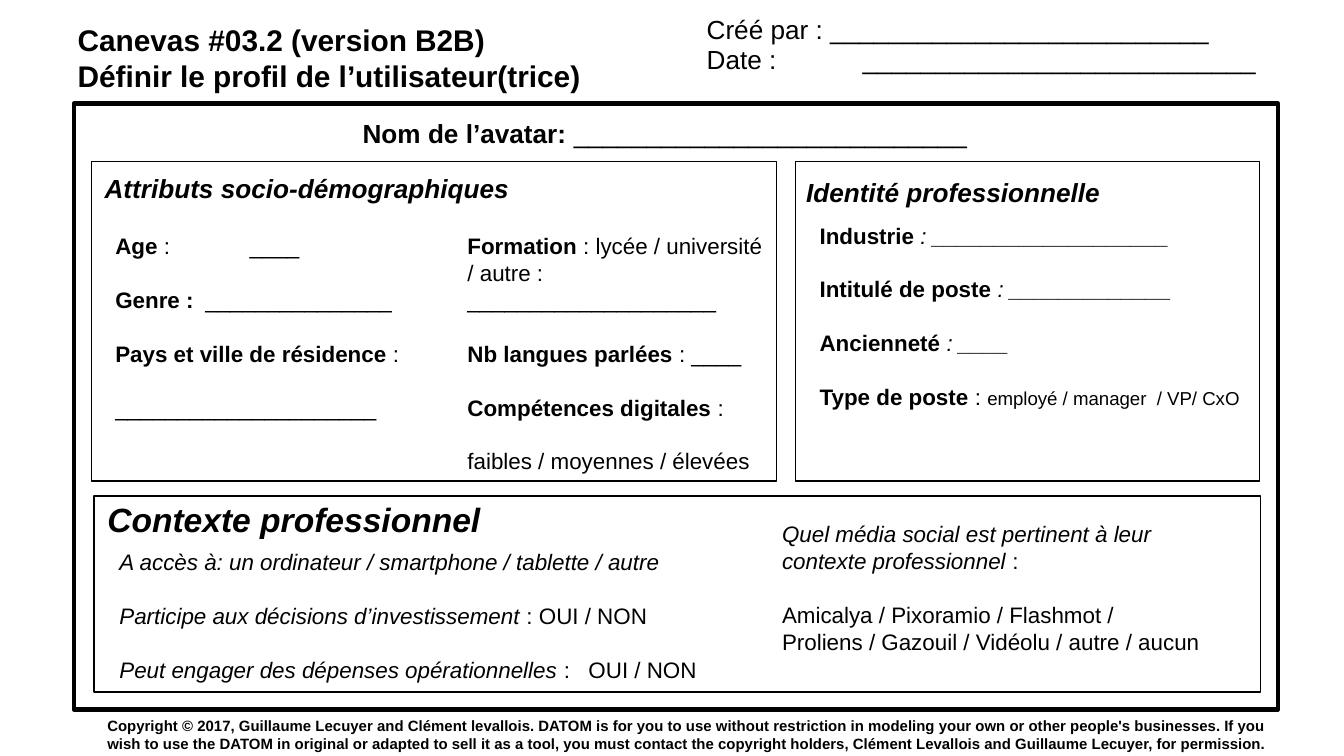
import pptx
import pptx.util
import pptx.dml.color
import pptx.enum.shapes
import pptx.enum.text
from lxml import etree
from pptx.oxml.ns import qn

Inches = pptx.util.Inches
Pt = pptx.util.Pt
COLORS = {"ink": "000000", "paper": "FFFFFF"}
FONT = "Arial"
LINE_GAP = 14.4


def rgb(name):
    return pptx.dml.color.RGBColor.from_string(COLORS[name])


def add_frame(slide, x, y, w, h, weight=0.75):
    sp = slide.shapes.add_shape(
        pptx.enum.shapes.MSO_SHAPE.RECTANGLE,
        Inches(x), Inches(y), Inches(w), Inches(h))
    sp.shadow.inherit = False
    sp.fill.background()
    sp.line.color.rgb = rgb("ink")
    sp.line.width = Pt(weight)


def add_tab(p, position):
    tabs = etree.SubElement(p._p.get_or_add_pPr(), qn("a:tabLst"))
    etree.SubElement(tabs, qn("a:tab"), pos=str(Inches(position)), algn="l")


def add_run(p, text, style="", size=12):
    r = p.add_run()
    r.text = text
    r.font.name = FONT
    r.font.size = Pt(size)
    r.font.bold = "b" in style
    r.font.italic = "i" in style
    r.font.color.rgb = rgb("ink")


def para(*runs, gap=LINE_GAP, tab=None):
    return {"runs": runs, "gap": gap, "tab": tab}


def add_text(slide, x, y, w, h, paras, size=12, middle=False):
    sp = slide.shapes.add_textbox(Inches(x), Inches(y), Inches(w), Inches(h))
    tf = sp.text_frame
    tf.word_wrap = True
    tf.margin_left = tf.margin_right = Inches(0.1)
    tf.margin_top = tf.margin_bottom = Inches(0.1)
    anchor = pptx.enum.text.MSO_ANCHOR
    tf.vertical_anchor = anchor.MIDDLE if middle else anchor.TOP
    for i, item in enumerate(paras):
        p = tf.paragraphs[0] if i == 0 else tf.add_paragraph()
        if item["tab"]:
            add_tab(p, item["tab"])
        if i and item["gap"]:
            p.space_before = Pt(item["gap"])
        for text, style, *own_size in item["runs"]:
            add_run(p, text, style, own_size[0] if own_size else size)


def add_title(slide, x, y, w, h, text, size=14, style="bi"):
    add_text(slide, x, y, w, h, [para((text, style))], size=size)


def add_header(slide):
    add_text(slide, 0.48, 0.06, 4.94, 0.5, [
        para(("Canevas #03.2 (version B2B)", "b")),
        para(("Définir le profil de l’utilisateur(trice)", "b"), gap=0),
    ], size=16)
    add_title(slide, 5.16, 0, 4.36, 0.34, "Créé par : " + "_" * 26, style="")
    add_text(slide, 5.16, 0.22, 4.44, 0.34,
             [para(("Date : \t" + "_" * 27, ""), tab=1.16)], size=14)
    add_text(slide, 2.6, 0.77, 6.36, 0.34,
             [para(("Nom de l’avatar:", "b"), (" " + "_" * 27, ""))], size=14)


def add_demographics(slide):
    add_title(slide, 0.68, 1.18, 3.28, 0.34, "Attributs socio-démographiques")
    add_text(slide, 0.76, 1.63, 2.4, 1.95, [
        para(("Age", "b"), (" : \t____", ""), tab=1),
        para(("Genre :", "b"), ("\t" + "_" * 15, ""), tab=0.67),
        para(("Pays et ville de résidence ", "b"), (":", "")),
        para(("_" * 21, "")),
    ])
    add_text(slide, 3.38, 1.63, 2.4, 1.95, [
        para(("Formation ", "b"), (": lycée / université / autre :", "")),
        para(("_" * 20, ""), gap=0),
        para(("Nb langues parlées ", "b"), (": ____", "")),
        para(("Compétences digitales ", "b"), (":", "")),
        para(("faibles / moyennes / élevées", "")),
    ])


def add_identity(slide):
    add_title(slide, 5.9, 1.21, 2.81, 0.45, "Identité professionnelle")
    blanks = [("Industrie", 19), ("Intitulé de poste", 13), ("Ancienneté", 4)]
    paras = [para((label + " ", "b"), (": " + "_" * n, "i"))
             for label, n in blanks]
    paras.append(para(("Type de poste ", "b"), (": ", ""),
                      ("employé / manager  / VP/ CxO", "", 10)))
    add_text(slide, 6, 1.55, 3.38, 1.95, paras)


def add_context(slide):
    add_title(slide, 0.7, 3.61, 4.21, 0.45, "Contexte professionnel", size=18)
    add_text(slide, 0.79, 3.98, 4.73, 1.35, [
        para(("A accès à: un ordinateur / smartphone / tablette / autre", "i")),
        para(("Participe aux décisions d’investissement ", "i"),
             (": OUI / NON", "")),
        para(("Peut engager des dépenses opérationnelles ", "i"),
             (":\tOUI / NON", ""), tab=3.49),
    ])
    add_text(slide, 5.72, 3.77, 3.38, 1.29, [
        para(("Quel média social est pertinent à leur contexte professionnel ",
              "i"), (":", "")),
        para(("Amicalya / Pixoramio / Flashmot / Proliens / Gazouil / Vidéolu"
              " / autre / aucun", "")),
    ])


def add_copyright(slide):
    text = (
        "Copyright © 2017, Guillaume Lecuyer and Clément levallois. DATOM is "
        "for you to use without restriction in modeling your own or other "
        "people's businesses. If you wish to use the DATOM in original or "
        "adapted to sell it as a tool, you must contact the copyright holders, "
        "Clément Levallois and Guillaume Lecuyer, for permission.")
    add_text(slide, 0.7, 5.35, 8.96, 0.23, [para((text, "b"))],
             size=8, middle=True)


def main():
    prs = pptx.Presentation()
    prs.slide_width = Inches(10)
    prs.slide_height = Inches(10 * 9 / 16)
    slide = prs.slides.add_slide(prs.slide_layouts[6])
    slide.background.fill.solid()
    slide.background.fill.fore_color.rgb = rgb("paper")
    add_frame(slide, 0.55, 0.77, 8.96, 4.51, weight=2.25)
    add_frame(slide, 0.68, 1.2, 5.1, 2.38)
    add_frame(slide, 5.92, 1.2, 3.45, 2.38)
    add_frame(slide, 0.7, 3.69, 8.68, 1.46)
    add_header(slide)
    add_demographics(slide)
    add_identity(slide)
    add_context(slide)
    add_copyright(slide)
    prs.save("out.pptx")


if __name__ == "__main__":
    main()
